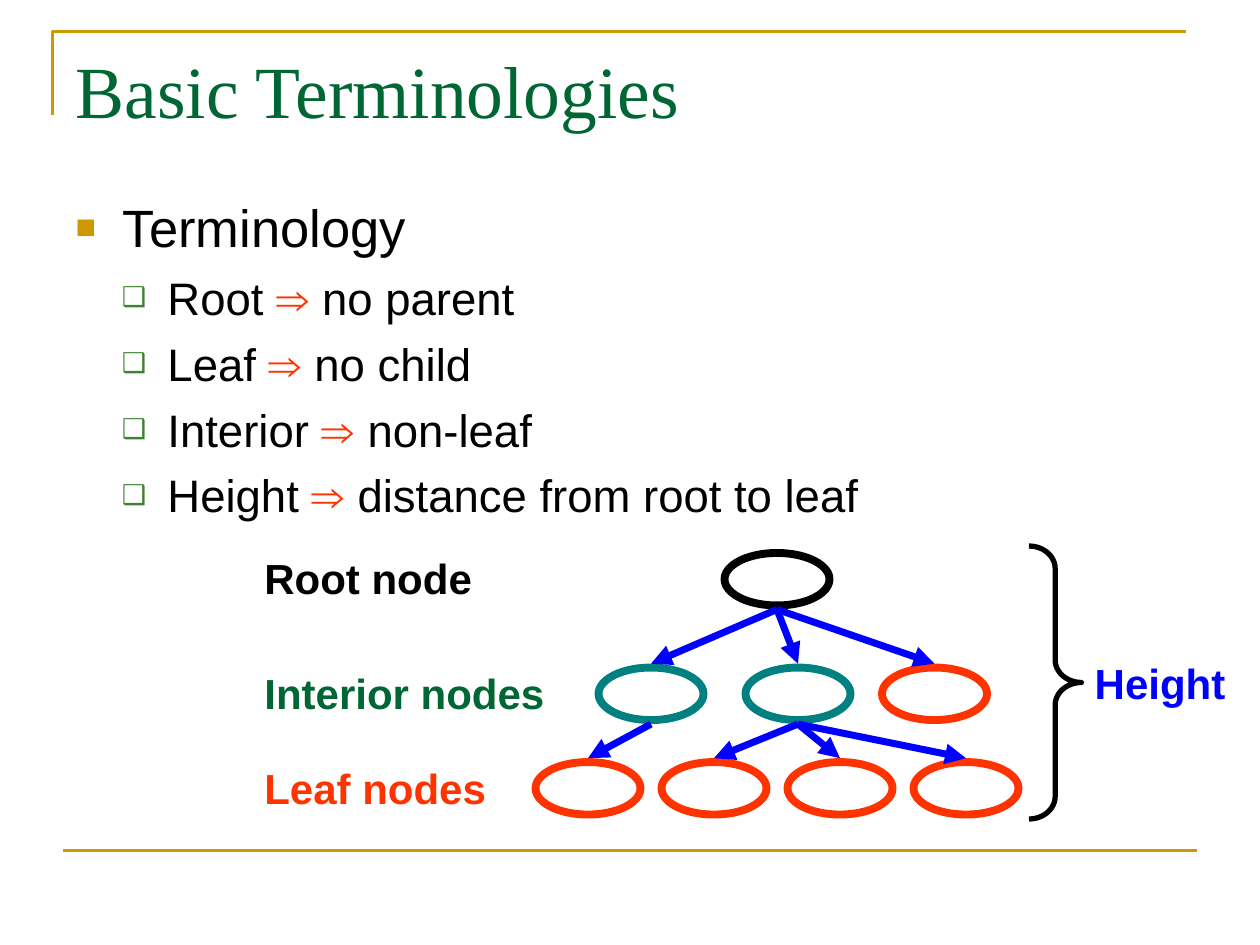
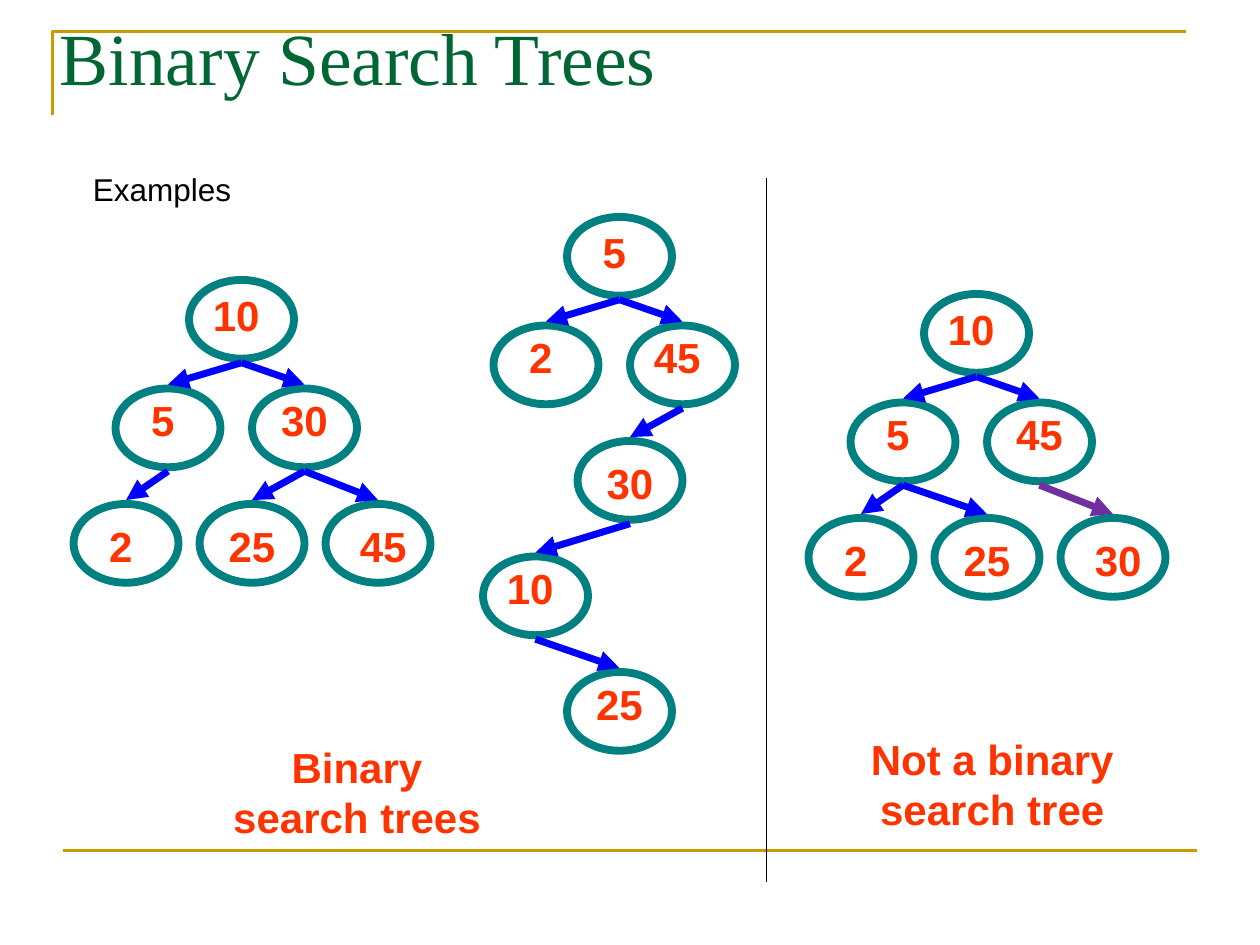
"""Build two slides on tree terminology and binary search trees."""
from dataclasses import dataclass
from typing import NamedTuple, Optional

import lxml.etree
import pptx
import pptx.dml.color
import pptx.enum.shapes
import pptx.enum.text
import pptx.oxml.ns
import pptx.util

Pt = pptx.util.Pt
qn = pptx.oxml.ns.qn
Align = pptx.enum.text.PP_ALIGN
AutoSize = pptx.enum.text.MSO_AUTO_SIZE
ShapeType = pptx.enum.shapes.MSO_SHAPE

GOLD, GREEN, TEAL = "CC9900", "006633", "008080"
RED, BLUE, PURPLE, BLACK = "FF3300", "0000FF", "7030A0", "000000"
BULLET_GREEN = "3B812F"
BODY_FONT, TITLE_FONT = "Arial", "Times New Roman"
NODE_WIDTH, NODE_LINE, EDGE_LINE = 60, 4.5, 4


class Box(NamedTuple):
    left: float
    top: float
    width: float
    height: float


class Bullet(NamedTuple):
    character: str
    color: str
    percent: int
    margin: float
    indent: float
    space_before: float


@dataclass(frozen=True)
class Node:
    left: float
    top: float
    color: str = TEAL
    parent: Optional[int] = None
    edge_color: str = BLUE
    text: str = ""
    label_left: float = 6
    label_top: float = 0
    label_width: float = 48


@dataclass(frozen=True)
class Label:
    text: str
    box: Box
    color: str = RED
    size: float = 24
    bold: bool = True
    centred: bool = False


MAIN_BULLET = Bullet("■", GOLD, 65, 27, -27, 7.5)
SUB_BULLET = Bullet("❑", BULLET_GREEN, 60, 52.5, -26, 6.5)

TERMS = [
    ("Root ", "no parent"),
    ("Leaf ", "no child"),
    ("Interior ", "non-leaf"),
    ("Height ", "distance from root to leaf"),
]

TERM_TREE = [
    Node(414, 316, BLACK),
    Node(342, 381.5, TEAL, 0),
    Node(426, 381.5, TEAL, 0),
    Node(504, 381.5, RED, 0),
] + [Node(306 + 72 * index, 435.5, RED, parent)
     for index, parent in enumerate((1, 2, 2, 2))]

TERM_LABELS = [
    Label("Root node", Box(144, 312, 136, 36), BLACK),
    Label("Leaf nodes", Box(144, 432, 144, 36)),
    Label("Interior nodes", Box(144, 378, 178, 36), GREEN),
    Label("Height", Box(618.5, 372, 92, 36), BLUE),
]

CHAIN_TREE = [
    Node(324, 124, text="5", label_left=12, label_top=2, label_width=30),
    Node(282, 186, parent=0, text="2", label_left=12, label_width=30),
    Node(360, 186, parent=0, text="45", label_width=42),
    Node(330, 252, parent=2, text="30", label_top=6),
    Node(276, 318, parent=3, text="10", label_width=42),
    Node(324, 384, parent=4, text="25"),
]

EXAMPLE_LABELS = [
    Label("Binary search trees", Box(120, 420, 168, 65), centred=True),
    Label("Not a binary search tree", Box(474, 415.5, 186, 65), centred=True),
    Label("Examples", Box(46, 93.5, 97, 29), BLACK, 18, False),
]


def three_level_tree(texts: list[str], left: float, top: float,
                     last_edge: str = BLUE) -> list[Node]:
    """Lay out six nodes: a root, two children and three leaves."""
    return [
        Node(left + 66, top, text=texts[0], label_top=2, label_width=42),
        Node(left + 24, top + 62, parent=0, text=texts[1], label_left=12, label_width=30),
        Node(left + 102, top + 62, parent=0, text=texts[2]),
        Node(left, top + 128, parent=1, text=texts[3], label_left=12,
             label_top=6, label_width=30),
        Node(left + 72, top + 128, parent=2 if last_edge == BLUE else 1,
             text=texts[4], label_top=6),
        Node(left + 144, top + 128, parent=2, edge_color=last_edge, text=texts[5],
             label_left=12, label_top=6, label_width=42),
    ]


def rgb(color: str) -> pptx.dml.color.RGBColor:
    """Turn a hex string into a colour."""
    return pptx.dml.color.RGBColor.from_string(color)


def place(shape, box: Box) -> None:
    """Move and size a shape."""
    shape.left, shape.top, shape.width, shape.height = (Pt(length) for length in box)


def add_run(paragraph, text: str, size: float, color: str,
            font: str = BODY_FONT, bold: bool = False) -> None:
    """Append one formatted run."""
    run = paragraph.add_run()
    run.text = text
    run.font.name, run.font.size, run.font.bold = font, Pt(size), bold
    run.font.color.rgb = rgb(color)


def outline(shape, color: str, width: float) -> None:
    """Leave a shape unfilled, unshadowed and outlined."""
    shape.shadow.inherit = False
    shape.fill.background()
    shape.line.color.rgb = rgb(color)
    shape.line.width = Pt(width)


def add_line(shapes, start: tuple, end: tuple, color: str, width: float,
             arrow: bool = False):
    """Draw a straight line, with an arrowhead at its end if asked."""
    connector = shapes.add_connector(
        pptx.enum.shapes.MSO_CONNECTOR.STRAIGHT, *(Pt(value) for value in start + end))
    connector.line.color.rgb = rgb(color)
    connector.line.width = Pt(width)
    properties = connector.element.spPr
    if arrow:
        lxml.etree.SubElement(properties.find(qn("a:ln")), qn("a:tailEnd"), type="triangle")
    lxml.etree.SubElement(properties, qn("a:effectLst"))
    return connector


def add_label(shapes, label: Label) -> None:
    """Draw a text box; centred ones wrap."""
    text_box = shapes.add_textbox(*(Pt(length) for length in label.box))
    frame = text_box.text_frame
    frame.word_wrap = label.centred
    frame.auto_size = AutoSize.SHAPE_TO_FIT_TEXT
    paragraph = frame.paragraphs[0]
    paragraph.alignment = Align.CENTER if label.centred else Align.LEFT
    add_run(paragraph, label.text, label.size, label.color, bold=label.bold)


def add_tree(shapes, nodes: list[Node], height: float) -> None:
    """Draw nodes, then arrows from parent to child, then node labels."""
    for node in nodes:
        oval = shapes.add_shape(ShapeType.OVAL, Pt(node.left), Pt(node.top),
                                Pt(NODE_WIDTH), Pt(height))
        outline(oval, node.color, NODE_LINE)
    for node in nodes:
        if node.parent is not None:
            parent = nodes[node.parent]
            start = (parent.left + NODE_WIDTH / 2, parent.top + height + NODE_LINE / 2)
            end = (node.left + NODE_WIDTH / 2, node.top - NODE_LINE / 2)
            add_line(shapes, start, end, node.edge_color, EDGE_LINE, arrow=True)
    for node in nodes:
        if node.text:
            box = Box(node.left + node.label_left, node.top + node.label_top,
                      node.label_width, 36)
            add_label(shapes, Label(node.text, box, centred=True))


def set_title(slide, text: str, box: Box) -> None:
    """Fill and format the title placeholder."""
    title = slide.shapes.title
    place(title, box)
    frame = title.text_frame
    frame.auto_size = AutoSize.NONE
    frame.vertical_anchor = pptx.enum.text.MSO_ANCHOR.TOP
    frame.paragraphs[0].alignment = Align.LEFT
    add_run(frame.paragraphs[0], text, 42, GREEN, TITLE_FONT)


def set_bullet(paragraph, bullet: Bullet) -> None:
    """Give a paragraph its bullet, indent and spacing."""
    paragraph.space_before = Pt(bullet.space_before)
    properties = paragraph._p.get_or_add_pPr()
    properties.set("marL", str(Pt(bullet.margin)))
    properties.set("indent", str(Pt(bullet.indent)))
    color = lxml.etree.SubElement(properties, qn("a:buClr"))
    lxml.etree.SubElement(color, qn("a:srgbClr"), val=bullet.color)
    lxml.etree.SubElement(properties, qn("a:buSzPct"), val=str(bullet.percent * 1000))
    lxml.etree.SubElement(properties, qn("a:buFont"), typeface=BODY_FONT)
    lxml.etree.SubElement(properties, qn("a:buChar"), char=bullet.character)


def set_terms(slide) -> None:
    """Fill the body placeholder with the list of terms."""
    body = slide.placeholders[1]
    place(body, Box(36, 108, 648, 356.5))
    frame = body.text_frame
    frame.auto_size = AutoSize.NONE
    set_bullet(frame.paragraphs[0], MAIN_BULLET)
    add_run(frame.paragraphs[0], "Terminology", 30, BLACK)
    for term, meaning in TERMS:
        paragraph = frame.add_paragraph()
        paragraph.level = 1
        set_bullet(paragraph, SUB_BULLET)
        for text, color in ((term, BLACK), ("⇒ ", RED), (meaning, BLACK)):
            add_run(paragraph, text, 26, color)


def move_frame_to_master(presentation, slide) -> None:
    """Draw the gold corner and bottom rule and hand them to the master."""
    builder = slide.shapes.build_freeform(30, 66, scale=float(Pt(1)))
    builder.add_line_segments([(30, 18), (678, 18)], close=False)
    corner = builder.convert_to_shape()
    outline(corner, GOLD, 1.5)
    rule = add_line(slide.shapes, (36, 486), (684, 486), GOLD, 1.5)
    for shape in (corner, rule):
        presentation.slide_master.element.cSld.spTree.append(shape.element)


def build_terms_slide(presentation) -> None:
    """Build the slide on tree terminology."""
    slide = presentation.slides.add_slide(presentation.slide_layouts[1])
    set_title(slide, "Basic Terminologies", Box(36, 22, 648, 90))
    set_terms(slide)
    add_tree(slide.shapes, TERM_TREE, 30)
    for label in TERM_LABELS:
        add_label(slide.shapes, label)
    brace = slide.shapes.add_shape(ShapeType.RIGHT_BRACE, Pt(588), Pt(312), Pt(30), Pt(156))
    brace.adjustments[0] = 0.43
    outline(brace, BLACK, 3)
    move_frame_to_master(presentation, slide)


def build_examples_slide(presentation) -> None:
    """Build the slide that compares search trees."""
    slide = presentation.slides.add_slide(presentation.slide_layouts[5])
    set_title(slide, "Binary Search Trees", Box(27, 3, 648, 69))
    trees = [
        three_level_tree(["10", "5", "30", "2", "25", "45"], 42, 160),
        three_level_tree(["10", "5", "45", "2", "25", "30"], 462, 168, PURPLE),
        CHAIN_TREE,
    ]
    for tree in trees:
        add_tree(slide.shapes.add_group_shape().shapes, tree, 45)
    add_line(slide.shapes, (438, 102), (438, 504), BLACK, 1)
    for label in EXAMPLE_LABELS:
        add_label(slide.shapes, label)


def main() -> None:
    """Create and save the presentation."""
    presentation = pptx.Presentation()
    presentation.slide_width, presentation.slide_height = Pt(720), Pt(540)
    build_terms_slide(presentation)
    build_examples_slide(presentation)
    presentation.save("out.pptx")


if __name__ == "__main__":
    main()
